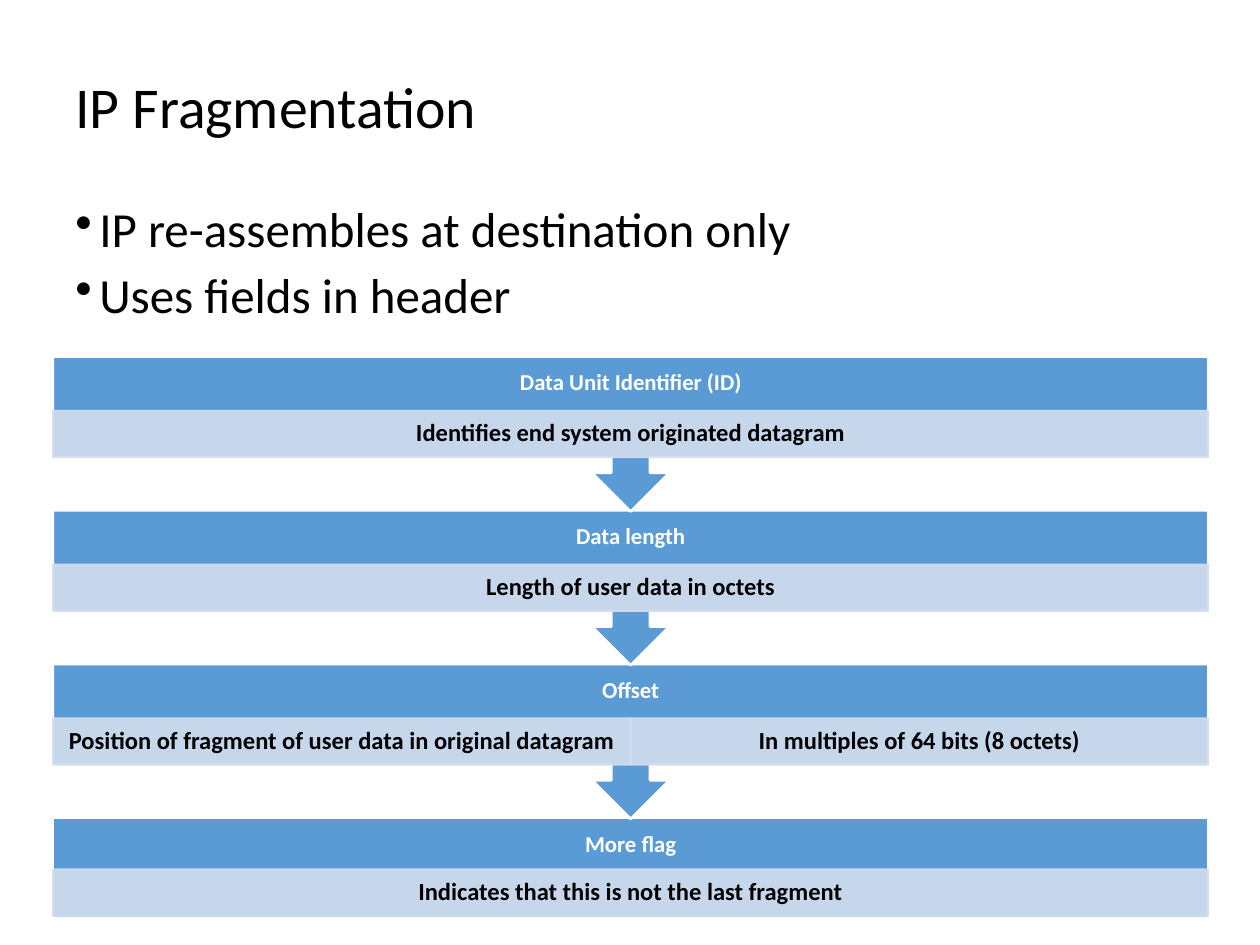
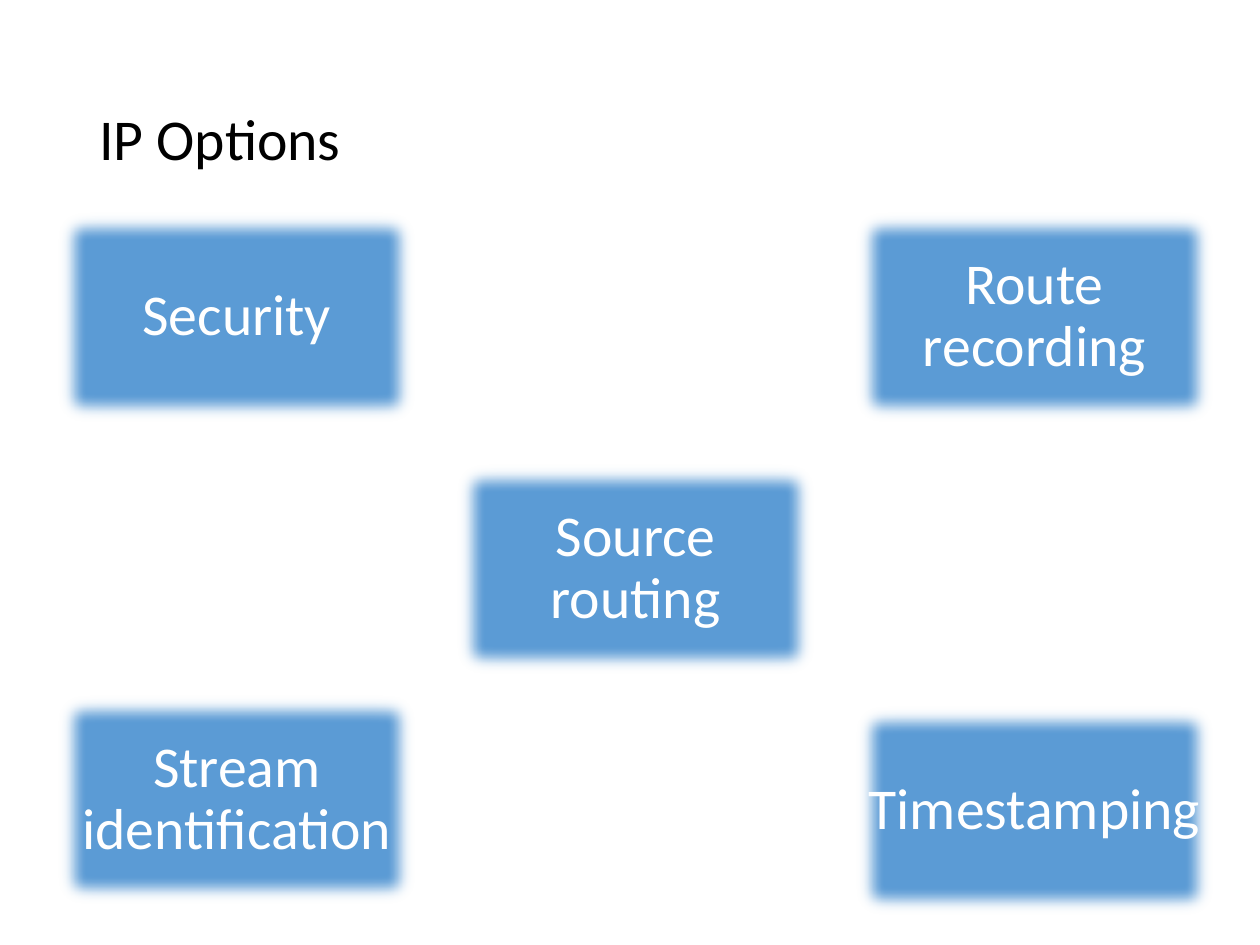
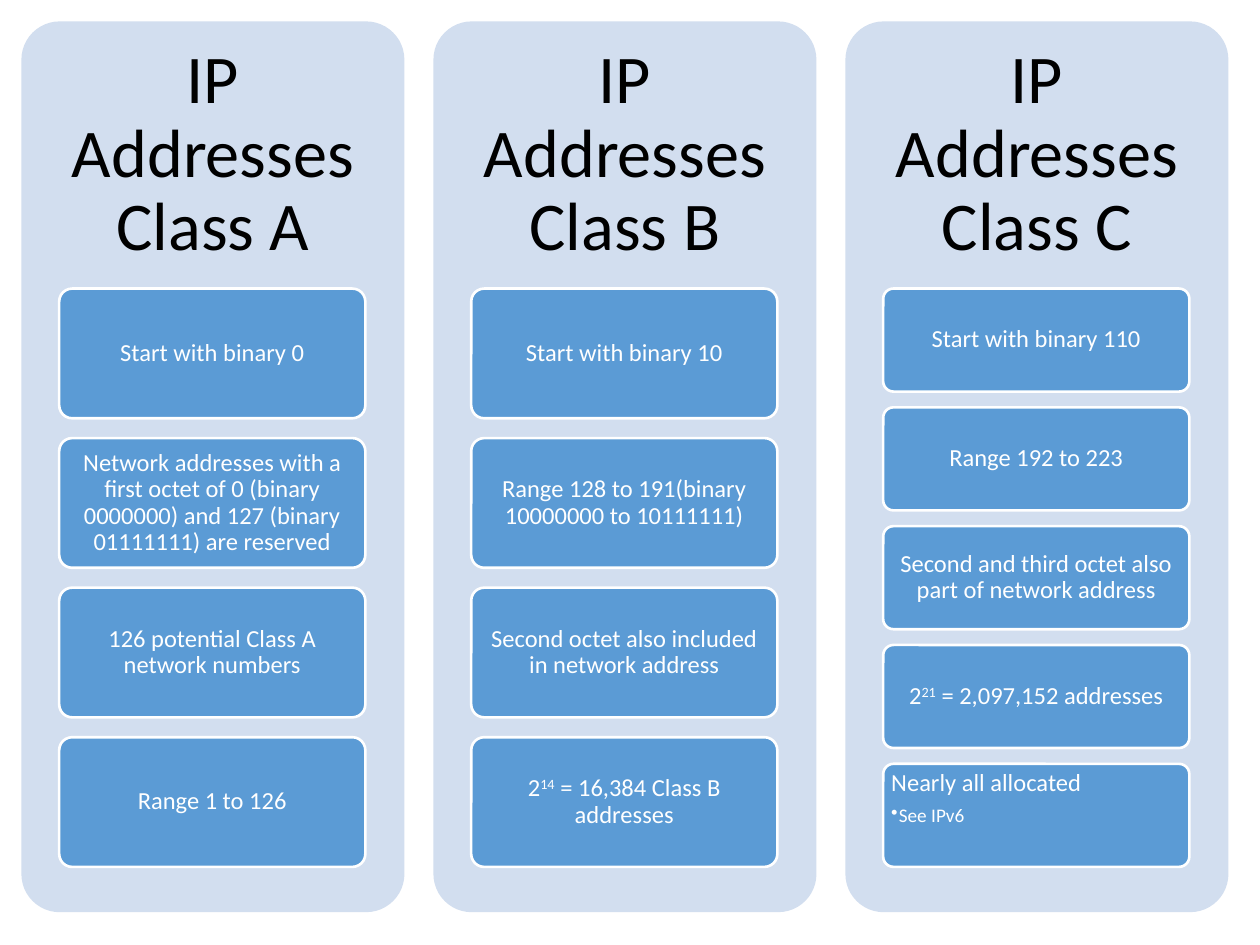
"""Build three slides on IP fragmentation, IP options and IP address classes."""
from dataclasses import dataclass

from lxml import etree
from pptx import Presentation
from pptx.dml.color import RGBColor
from pptx.enum.shapes import MSO_SHAPE
from pptx.enum.text import MSO_ANCHOR, PP_ALIGN
from pptx.oxml.ns import qn
from pptx.util import Emu, Inches, Pt

RECTANGLE = MSO_SHAPE.RECTANGLE
ROUNDED = MSO_SHAPE.ROUNDED_RECTANGLE
CALLOUT = MSO_SHAPE.UP_ARROW_CALLOUT
TOP, MIDDLE = MSO_ANCHOR.TOP, MSO_ANCHOR.MIDDLE
LEFT, CENTER = PP_ALIGN.LEFT, PP_ALIGN.CENTER


@dataclass(frozen=True)
class Theme:
    font: str = "Calibri"
    blue: str = "5B9BD5"
    pale: str = "D2DEEF"
    white: str = "FFFFFF"
    black: str = "000000"
    title: int = 33
    body: int = 28
    heading: int = 39
    label: int = 14
    step: int = 13
    note: int = 11
    line_spacing: float = 0.9
    outline: float = 1.5
    corner: float = 0.1
    opacity: int = 90


THEME = Theme()

FRAGMENTATION_TITLE = "IP Fragmentation"
FRAGMENTATION_POINTS = ["IP re-assembles at destination only", "Uses fields in header"]
HEADER_FIELDS = [
    ("Data Unit Identifier (ID)", ["Identifies end system originated datagram"]),
    ("Data length", ["Length of user data in octets"]),
    ("Offset", ["Position of fragment of user data in original datagram",
                "In multiples of 64 bits (8 octets)"]),
    ("More flag", ["Indicates that this is not the last fragment"]),
]

OPTIONS_TITLE = "IP Options"
OPTIONS = [
    ("Security", 0, 1.64),
    ("Source routing", 1, 3.64),
    ("Route recording", 2, 1.64),
    ("Stream identification", 0, 5.47),
    ("Timestamping", 2, 5.56),
]

ADDRESS_CLASSES = [
    ("IP Addresses Class A", [
        ["Start with binary 0"],
        ["Network addresses with a first octet of 0 (binary 0000000) "
         "and 127 (binary 01111111) are reserved"],
        ["126 potential Class A network numbers"],
        ["Range 1 to 126"],
    ]),
    ("IP Addresses Class B", [
        ["Start with binary 10"],
        ["Range 128 to 191(binary 10000000 to 10111111)"],
        ["Second octet also included in network address"],
        [("2", "14", " = 16,384 Class B addresses")],
    ]),
    ("IP Addresses Class C", [
        ["Start with binary 110"],
        ["Range 192 to 223"],
        ["Second and third octet also part of network address"],
        [("2", "21", " = 2,097,152 addresses")],
        ["Nearly all allocated", "See IPv6"],
    ]),
]


def color(value):
    return RGBColor.from_string(value)


def add_bullet(paragraph, indent):
    properties = paragraph._p.get_or_add_pPr()
    properties.set("marL", str(Inches(indent)))
    properties.set("indent", str(-Inches(indent)))
    etree.SubElement(properties, qn("a:buChar")).set("char", "•")


def write(shape, lines, size, ink, align=CENTER, anchor=MIDDLE, inset=(0.1, 0.05), bold=False):
    """Fill a shape with lines; in a tuple line every second part is superscript."""
    frame = shape.text_frame
    frame.word_wrap = True
    frame.vertical_anchor = anchor
    frame.margin_left = frame.margin_right = Inches(inset[0])
    frame.margin_top = frame.margin_bottom = Inches(inset[1])
    for index, line in enumerate(lines):
        paragraph = frame.add_paragraph() if index else frame.paragraphs[0]
        paragraph.alignment = align
        paragraph.line_spacing = THEME.line_spacing
        parts = line if isinstance(line, tuple) else (line,)
        for position, part in enumerate(parts):
            run = paragraph.add_run()
            run.text = part
            run.font.name = THEME.font
            run.font.size = Pt(size)
            run.font.bold = bold
            run.font.color.rgb = color(ink)
            if position % 2:
                run._r.get_or_add_rPr().set("baseline", "30000")
    return frame.paragraphs


def add_text(slide, box, lines, size, ink=THEME.black, **style):
    textbox = slide.shapes.add_textbox(*map(Inches, box))
    return write(textbox, lines, size, ink, **style)


def add_box(slide, kind, box, fill=THEME.blue, line=None, width=THEME.outline):
    shape = slide.shapes.add_shape(kind, *map(Inches, box))
    shape.shadow.inherit = False
    shape.fill.solid()
    shape.fill.fore_color.rgb = color(fill)
    if line:
        shape.line.color.rgb = color(line)
        shape.line.width = Pt(width)
    else:
        shape.line.fill.background()
    if kind == ROUNDED:
        shape.adjustments[0] = THEME.corner
    return shape


def make_translucent(shape):
    for tint in shape._element.spPr.iter(qn("a:srgbClr")):
        etree.SubElement(tint, qn("a:alpha")).set("val", str(THEME.opacity * 1000))


def soften_edges(shape, radius):
    effects = shape._element.spPr.find(qn("a:effectLst"))
    etree.SubElement(effects, qn("a:softEdge")).set("rad", str(Emu(Pt(radius))))


def add_title(slide, text, box):
    add_text(slide, box, [text], THEME.title, align=LEFT)


def build_fragmentation(slide):
    add_title(slide, FRAGMENTATION_TITLE, (0.5, 0.25, 9, 1.25))
    points = add_text(slide, (0.5, 1.58, 9.08, 5.25), FRAGMENTATION_POINTS, THEME.body,
                      align=LEFT, anchor=TOP)
    for index, paragraph in enumerate(points):
        paragraph.space_before = Pt(7.5 if index else 0)
        add_bullet(paragraph, 0.19)

    left, top, width, pitch = 0.42, 2.83, 9.17, 1.22
    header_height, detail_height = 0.43, 0.37
    last = len(HEADER_FIELDS) - 1
    for row, (name, details) in reversed(list(enumerate(HEADER_FIELDS))):
        y = top + row * pitch
        if row == last:
            add_box(slide, RECTANGLE, (left, y, width, 0.8), line=THEME.white)
            detail_top = y + 0.41
        else:
            callout = add_box(slide, CALLOUT, (left, y, width, 1.23), line=THEME.white)
            callout.rotation = 180
            detail_top = y + header_height
        add_text(slide, (left, y, width, header_height), [name], THEME.step,
                 THEME.white, inset=(0.1, 0.1), bold=True)
        detail_width = width / len(details)
        for column, detail in enumerate(details):
            box = (left + column * detail_width, detail_top, detail_width, detail_height)
            panel = add_box(slide, RECTANGLE, box, THEME.pale, THEME.pale, 1)
            make_translucent(panel)
            write(panel, [detail], THEME.label, THEME.black, inset=(0.11, 0.02), bold=True)


def build_options(slide):
    add_title(slide, OPTIONS_TITLE, (0.69, 0.4, 8.62, 1.45))
    for name, column, top in OPTIONS:
        tile = add_box(slide, RECTANGLE, (0.42 + column * 3.165, top, 2.92, 1.75))
        soften_edges(tile, 10)
        write(tile, [name], THEME.title, THEME.white, inset=(0.14, 0.14))


def build_address_classes(slide):
    margin, pitch, width = 0.17, 3.27, 3.04
    cards_top, cards_height, gap_share = 2.29, 4.59, 0.153
    for column, (heading, cards) in enumerate(ADDRESS_CLASSES):
        left = margin + column * pitch
        add_box(slide, ROUNDED, (left, margin, width, 7.07), THEME.pale)
        add_text(slide, (left, margin, width, cards_top - margin), [heading],
                 THEME.heading, inset=(0.16, 0.16))
        height = cards_height / (len(cards) + (len(cards) - 1) * gap_share)
        for row, lines in enumerate(cards):
            top = cards_top + row * height * (1 + gap_share)
            card = add_box(slide, ROUNDED, (left + 0.3, top, 2.43, height), line=THEME.white)
            has_notes = len(lines) > 1
            paragraphs = write(card, lines, THEME.label, THEME.white,
                               align=LEFT if has_notes else CENTER,
                               anchor=TOP if has_notes else MIDDLE, inset=(0.04, 0.03))
            for note in paragraphs[1:]:
                note.space_before = Pt(5)
                add_bullet(note, 0.06)
                note.runs[0].font.size = Pt(THEME.note)


def main():
    presentation = Presentation()
    presentation.slide_width = Inches(10)
    presentation.slide_height = Inches(7.5)
    blank = presentation.slide_layouts[6]
    for build in (build_fragmentation, build_options, build_address_classes):
        build(presentation.slides.add_slide(blank))
    presentation.save("out.pptx")


if __name__ == "__main__":
    main()
